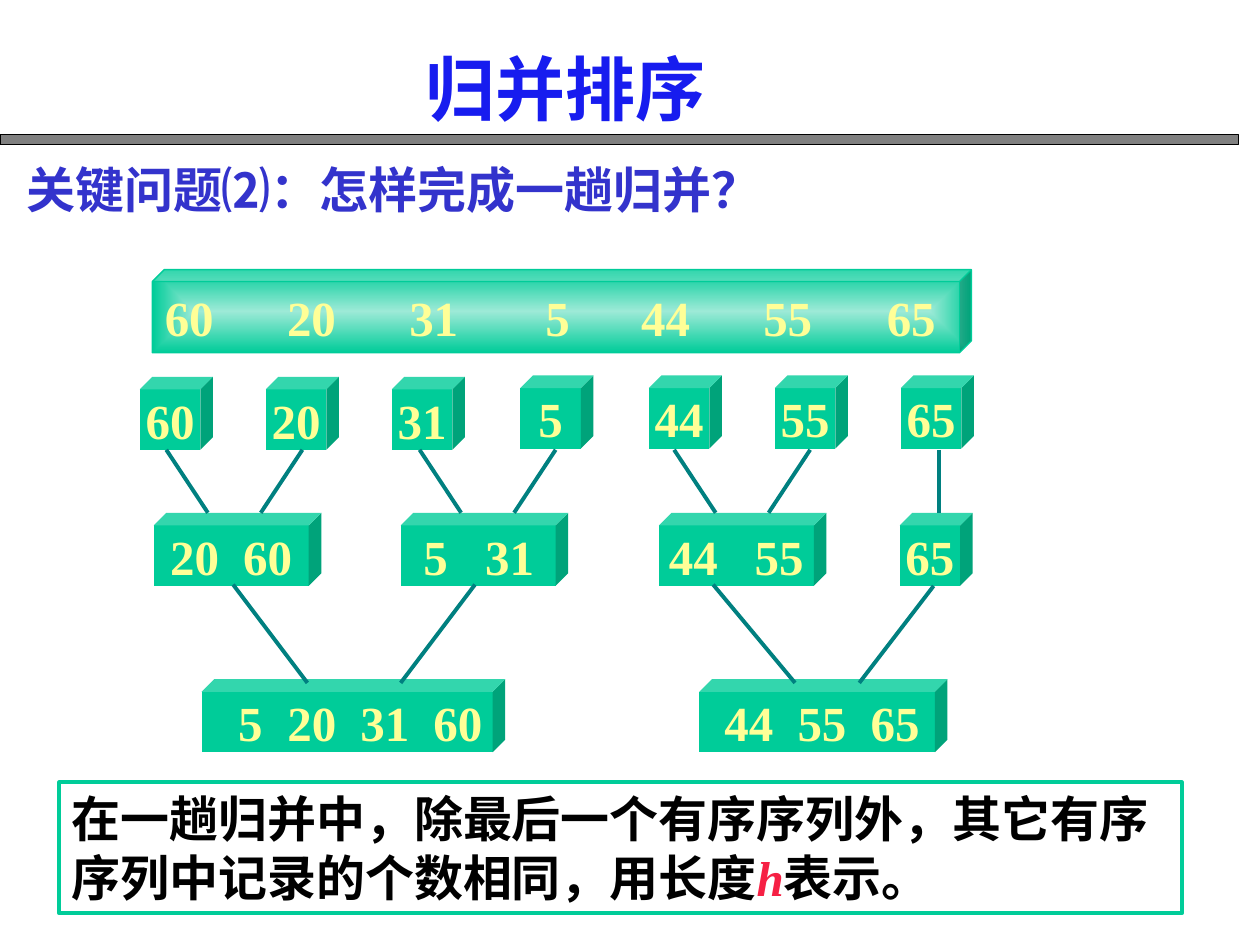
from lxml.etree import SubElement
from pptx import Presentation
from pptx.dml.color import RGBColor
from pptx.enum.shapes import MSO_CONNECTOR as Connector, MSO_SHAPE as Shape
from pptx.enum.text import MSO_ANCHOR as Anchor, MSO_AUTO_SIZE as AutoSize, PP_ALIGN as Align
from pptx.oxml import parse_xml
from pptx.oxml.ns import nsdecls, qn
from pptx.util import Inches, Pt

CJK, LATIN, SANS = "Noto Sans CJK SC", "Times New Roman", "Arial"
GREEN, TEAL, YELLOW, BLUE = "00CC99", "008080", "FFFF97", "3333CC"

TITLE = "归并排序"
QUESTION = [("关键问题⑵：", CJK, BLUE, False), ("怎样完成一趟归并？", SANS, BLUE, False)]
CONCLUSION = [
    ("在一趟归并中，除最后一个有序序列外，其它有序序列中记录的个数相同，用长度", LATIN, "000000", False),
    ("h", LATIN, "F62044", True),
    ("表示。", LATIN, "000000", False),
]
RECORDS = ["60", "20", "31", "5", "44", "55", "65"]
RECORD_STOPS = [0.1, 1.07, 2.04, 3.12, 3.88, 4.85, 5.83]
SINGLES = list(zip(RECORDS, [1.11, 2.11, 3.11, 4.13, 5.15, 6.15, 7.15],
                   [2.99] * 3 + [2.98] * 4))
MERGED = [
    (1.22, 4.07, 1.33, ["20", "60"], [0.13, 0.71]),
    (3.18, 4.07, 1.33, ["5", "31"], [0.18, 0.67]),
    (5.23, 4.07, 1.33, ["44", "55"], [0.08, 0.76]),
    (7.14, 4.07, 0.58, ["65"], []),
    (1.6, 5.39, 2.41, ["5", "20", "31", "60"], [0.29, 0.68, 1.26, 1.84]),
    (5.55, 5.39, 1.97, ["44", "55", "65"], [0.2, 0.78, 1.36]),
]
PAIR_STARTS = [1.32, 3.33, 5.35]
OTHER_LINKS = [
    (7.45, 3.57, 7.45, 4.07),
    (1.85, 4.64, 2.44, 5.42), (3.77, 4.64, 3.18, 5.42),
    (5.66, 4.64, 6.31, 5.42), (7.41, 4.65, 6.82, 5.42),
]


def color(value):
    return RGBColor.from_string(value)


def style(span, size, face, ink, italic=False):
    font = span.font
    font.size, font.name, font.bold, font.italic = Pt(size), face, True, italic
    font.color.rgb = color(ink)
    SubElement(span._r.get_or_add_rPr(), qn("a:ea")).set("typeface", CJK)


def write_spans(frame, spans):
    frame.word_wrap = True
    para = frame.paragraphs[0]
    para.alignment = Align.LEFT
    for text, face, ink, italic in spans:
        span = para.add_run()
        span.text = text
        style(span, 28, face, ink, italic)


def add_block(kind, left, top, width, height, fill=None, line=None, weight=0.75):
    block = page.shapes.add_shape(kind, Inches(left), Inches(top), Inches(width), Inches(height))
    block.shadow.inherit = False
    if fill:
        block.fill.solid()
        block.fill.fore_color.rgb = color(fill)
    else:
        block.fill.background()
    if line:
        block.line.color.rgb = color(line)
        block.line.width = Pt(weight)
    else:
        block.line.fill.background()
    return block


def add_cube(left, top, width, numbers, stops=(), height=0.58, depth=0.173, line=None):
    cube = add_block(Shape.CUBE, left, top, width, height, GREEN, line)
    cube.adjustments[0] = depth
    frame = cube.text_frame
    frame.vertical_anchor = Anchor.MIDDLE
    frame.word_wrap = bool(stops)
    para = frame.paragraphs[0]
    para.text = "\t".join(numbers)
    para.alignment = Align.LEFT if stops else Align.CENTER
    style(para.runs[0], 28, LATIN, YELLOW)
    if stops:
        frame.margin_left, frame.margin_right = Inches(stops[0]), 0
        tabs = SubElement(para._p.get_or_add_pPr(), qn("a:tabLst"))
        for stop in stops[1:]:
            tab = SubElement(tabs, qn("a:tab"))
            tab.set("pos", str(Inches(stop - stops[0])))
            tab.set("algn", "l")
    return cube


def add_link(x1, y1, x2, y2):
    link = page.shapes.add_connector(Connector.STRAIGHT, *map(Inches, (x1, y1, x2, y2)))
    link.line.color.rgb = color(TEAL)
    link.line.width = Pt(2.25)
    SubElement(link._element.spPr, qn("a:effectLst"))


def add_glow(cube):
    solid = cube._element.spPr.find(qn("a:solidFill"))
    gradient = parse_xml(
        f'<a:gradFill {nsdecls("a")} rotWithShape="1"><a:gsLst>'
        '<a:gs pos="0"><a:srgbClr val="9DEAD7"/></a:gs>'
        f'<a:gs pos="100000"><a:srgbClr val="{GREEN}"/></a:gs></a:gsLst>'
        '<a:path path="rect"><a:fillToRect l="50000" t="50000" r="50000" b="50000"/></a:path>'
        '</a:gradFill>')
    solid.getparent().replace(solid, gradient)


def add_title():
    title = page.shapes.title
    title.left, title.top, title.width, title.height = map(Inches, (3.28, 0.31, 3.17, 0.77))
    frame = title.text_frame
    frame.text = TITLE
    frame.auto_size = AutoSize.NONE
    frame.word_wrap = True
    frame.vertical_anchor = Anchor.TOP
    para = frame.paragraphs[0]
    para.alignment = Align.LEFT
    span = para.runs[0]
    style(span, 40, CJK, "171CEF")
    span._r.rPr.find(qn("a:solidFill")).addnext(parse_xml(
        f'<a:effectLst {nsdecls("a")}><a:outerShdw dist="35921" dir="2700000">'
        '<a:srgbClr val="808080"/></a:outerShdw></a:effectLst>'))


deck = Presentation()
deck.slide_width, deck.slide_height = Inches(10), Inches(7.5)
page = deck.slides.add_slide(deck.slide_layouts[5])

add_block(Shape.RECTANGLE, 0, 1.07, 9.83, 0.08, "808080", "000000")
add_title()
question = page.shapes.add_textbox(*map(Inches, (0.11, 1.22, 9.61, 0.57)))
write_spans(question.text_frame, QUESTION)

add_glow(add_cube(1.21, 2.14, 6.5, RECORDS, RECORD_STOPS, 0.66, 0.143, GREEN))
for number, left, top in SINGLES:
    add_cube(left, top, 0.58, [number])
for left, top, width, numbers, stops in MERGED:
    add_cube(left, top, width, numbers, stops)
for start in PAIR_STARTS:
    add_link(start, 3.57, start + 0.33, 4.07)
    add_link(start + 1.08, 3.57, start + 0.75, 4.07)
for ends in OTHER_LINKS:
    add_link(*ends)

conclusion = add_block(Shape.RECTANGLE, 0.47, 6.21, 8.91, 1.04, line=GREEN, weight=2.25)
conclusion.text_frame.vertical_anchor = Anchor.TOP
write_spans(conclusion.text_frame, CONCLUSION)

deck.save("out.pptx")
